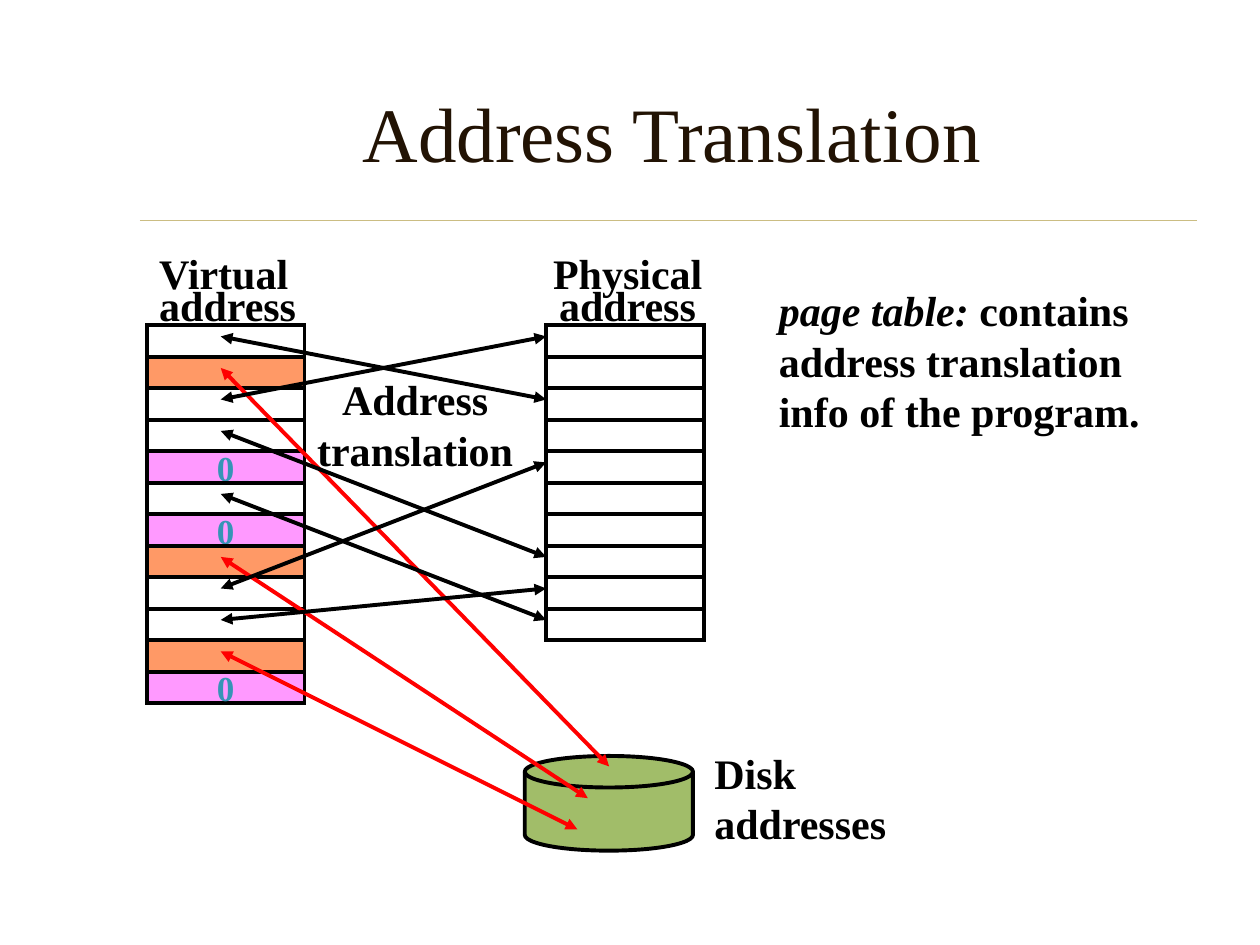
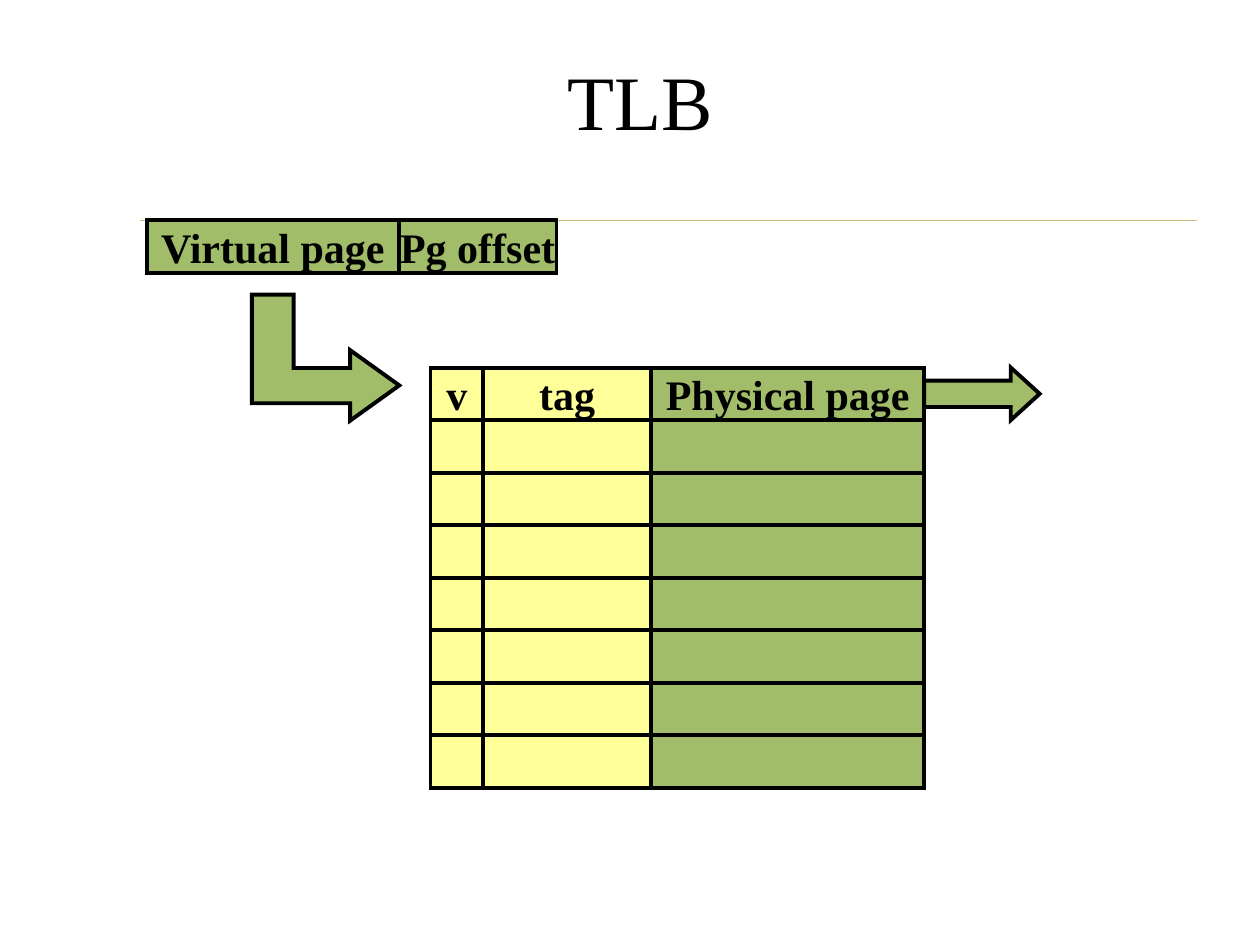
from dataclasses import dataclass
from typing import Optional

from lxml.etree import SubElement
from pptx import Presentation
from pptx.dml.color import RGBColor
from pptx.enum.shapes import MSO_CONNECTOR, MSO_SHAPE
from pptx.enum.text import MSO_ANCHOR, MSO_AUTO_SIZE, PP_ALIGN
from pptx.oxml.ns import qn
from pptx.util import Cm, Pt

FONT = "Times New Roman"
COLORS = {
    "black": "000000",
    "brown": "221304",
    "rule": "CBBD83",
    "red": "FF0000",
    "orange": "FF9966",
    "pink": "FF99FF",
    "green": "A1BD69",
    "yellow": "FFFF99",
    "teal": "3694B6",
}
OUTLINE = 2.25


# All lengths in the records below are centimetres.
@dataclass(frozen=True)
class Label:
    text: str
    left: float
    top: float
    width: float
    height: float = 1.27
    size: int = 24
    color: str = "black"
    bold: bool = True
    align: PP_ALIGN = PP_ALIGN.LEFT
    anchor: MSO_ANCHOR = MSO_ANCHOR.TOP
    wrap: bool = False
    italic_lead: str = ""


@dataclass(frozen=True)
class Block:
    left: float
    top: float
    width: float
    height: float
    fill: Optional[str] = None
    text: str = ""
    size: int = 24
    color: str = "black"
    kind: MSO_SHAPE = MSO_SHAPE.RECTANGLE


@dataclass(frozen=True)
class Link:
    x1: float
    y1: float
    x2: float
    y2: float
    color: str = "black"
    weight: float = OUTLINE
    arrows: bool = True


def rgb(name: str) -> RGBColor:
    return RGBColor.from_string(COLORS[name])


def style_text(paragraph, size: int, color: str, bold: bool, align: PP_ALIGN) -> None:
    paragraph.alignment = align
    font = paragraph.font
    font.name, font.size, font.bold = FONT, Pt(size), bold
    font.color.rgb = rgb(color)


def paint(shape, fill: Optional[str]) -> None:
    shape.shadow.inherit = False
    if fill:
        shape.fill.solid()
        shape.fill.fore_color.rgb = rgb(fill)
    else:
        shape.fill.background()
    shape.line.color.rgb = rgb("black")
    shape.line.width = Pt(OUTLINE)
    # Sharp corners
    SubElement(shape.line._get_or_add_ln(), qn("a:miter"), lim="800000")


def draw_label(slide, label: Label) -> None:
    box = slide.shapes.add_textbox(
        Cm(label.left), Cm(label.top), Cm(label.width), Cm(label.height))
    frame = box.text_frame
    frame.word_wrap = label.wrap
    frame.vertical_anchor = label.anchor
    if label.anchor == MSO_ANCHOR.TOP:
        frame.auto_size = MSO_AUTO_SIZE.SHAPE_TO_FIT_TEXT
    for index, line in enumerate(label.text.split("\n")):
        paragraph = frame.add_paragraph() if index else frame.paragraphs[0]
        style_text(paragraph, label.size, label.color, label.bold, label.align)
        if label.italic_lead and index == 0:
            lead = paragraph.add_run()
            lead.text = label.italic_lead
            lead.font.italic = True
        paragraph.add_run().text = line


def draw_block(slide, block: Block):
    shape = slide.shapes.add_shape(
        block.kind, Cm(block.left), Cm(block.top), Cm(block.width), Cm(block.height))
    paint(shape, block.fill)
    if block.text:
        frame = shape.text_frame
        frame.word_wrap = False
        frame.vertical_anchor = MSO_ANCHOR.MIDDLE
        frame.text = block.text
        style_text(frame.paragraphs[0], block.size, block.color, True, PP_ALIGN.CENTER)
    return shape


def draw_link(slide, link: Link) -> None:
    line = slide.shapes.add_connector(
        MSO_CONNECTOR.STRAIGHT, Cm(link.x1), Cm(link.y1), Cm(link.x2), Cm(link.y2))
    line.line.color.rgb = rgb(link.color)
    line.line.width = Pt(link.weight)
    if link.arrows:
        outline = line.line._get_or_add_ln()
        for end in ("a:headEnd", "a:tailEnd"):
            SubElement(outline, qn(end), type="triangle")
    SubElement(line._element.spPr, qn("a:effectLst"))


def add_titled_slide(prs, title: str, left: float, top: float, color: str):
    slide = prs.slides.add_slide(prs.slide_layouts[6])
    draw_link(slide, Link(2.82, 4.44, 24.13, 4.44, "rule", 0.25, arrows=False))
    draw_label(slide, Label(title, left, top, 21.17, 3.18, 44, color, False,
                            PP_ALIGN.CENTER, MSO_ANCHOR.MIDDLE, wrap=True))
    return slide


def build_address_translation(prs) -> None:
    slide = add_titled_slide(prs, "Address Translation", 2.96, 1.06, "brown")
    virtual_left, physical_left, memory_top = 2.96, 11.01, 6.56
    page_width, page_height = 3.18, 7.62 / 12

    # Page columns: blank pages are in memory, orange on disk, pink unused
    on_disk, unused = (1, 7, 10), (4, 6, 11)
    for page in range(12):
        fill = "orange" if page in on_disk else "pink" if page in unused else None
        draw_block(slide, Block(
            virtual_left, memory_top + page * page_height, page_width, page_height,
            fill, "0" if page in unused else "", 20, "teal"))
    for page in range(10):
        draw_block(slide, Block(
            physical_left, memory_top + page * page_height, page_width, page_height))

    # Disk
    draw_block(slide, Block(10.58, 15.24, 3.39, 1.91, "green",
                            kind=MSO_SHAPE.FLOWCHART_MAGNETIC_DISK))

    # Mappings from virtual pages to disk, then to physical pages
    def page_y(page: int) -> float:
        return memory_top + (page + 0.35) * page_height

    link_left = 4.45
    disk_spots = ((12.28, 15.45), (11.85, 16.09), (11.64, 16.72))
    for page, (x, y) in zip(on_disk, disk_spots):
        draw_link(slide, Link(link_left, page_y(page), x, y, "red"))
    physical_page = {0: 2, 2: 0, 3: 7, 5: 9, 8: 4, 9: 8}
    for page, target in physical_page.items():
        draw_link(slide, Link(link_left, page_y(page), physical_left, page_y(target)))

    # Captions
    for caption in (
        Label("Virtual", 2.96, 4.87, 3.12),
        Label("address", 2.96, 5.5, 3.28),
        Label("Physical", 10.9, 4.86, 3.51),
        Label("address", 11.02, 5.5, 3.28),
        Label("Address\ntranslation", 5.87, 7.41, 5, 2.29, align=PP_ALIGN.CENTER),
        Label("Disk\naddresses", 14.15, 14.94, 3.99, 2.29),
        Label(" contains address translation info of the program.",
              15.45, 5.62, 8.47, 3.3, wrap=True, italic_lead="page table:"),
    ):
        draw_label(slide, caption)


def build_tlb(prs) -> None:
    slide = add_titled_slide(prs, "TLB", 2.33, 0.42, "black")
    row_height = 8.47 / 8

    # Virtual address fields
    draw_block(slide, Block(2.96, 4.44, 5.08, row_height, "green", "Virtual page"))
    draw_block(slide, Block(8.04, 4.44, 3.18, row_height, "green", "Pg offset"))

    # Bent arrow into the buffer
    bend = [(5.92, 5.94), (5.92, 7.42), (7.06, 7.42), (7.06, 7.06), (8.05, 7.77),
            (7.06, 8.48), (7.06, 8.13), (5.08, 8.13), (5.08, 5.94)]
    corners = [(Cm(x), Cm(y)) for x, y in bend]
    builder = slide.shapes.build_freeform(*corners[0], scale=1.0)
    builder.add_line_segments(corners[1:], close=True)
    paint(builder.convert_to_shape(), "green")

    # Buffer entries under their headings
    buffer_top, left = 7.41, 8.68
    for heading, width, fill in (("v", 1.06, "yellow"), ("tag", 3.39, "yellow"),
                                 ("Physical page", 5.5, "green")):
        for row in range(8):
            draw_block(slide, Block(left, buffer_top + row * row_height, width,
                                    row_height, fill, "" if row else heading))
        left += width

    # Arrow out of the buffer
    result = draw_block(slide, Block(left, buffer_top, 2.33, row_height, "green",
                                     kind=MSO_SHAPE.RIGHT_ARROW))
    result.adjustments[0] = 0.5
    result.adjustments[1] = 0.55


def main() -> None:
    prs = Presentation()
    prs.slide_width, prs.slide_height = Cm(25.4), Cm(19.05)
    build_address_translation(prs)
    build_tlb(prs)
    prs.save("out.pptx")


if __name__ == "__main__":
    main()
